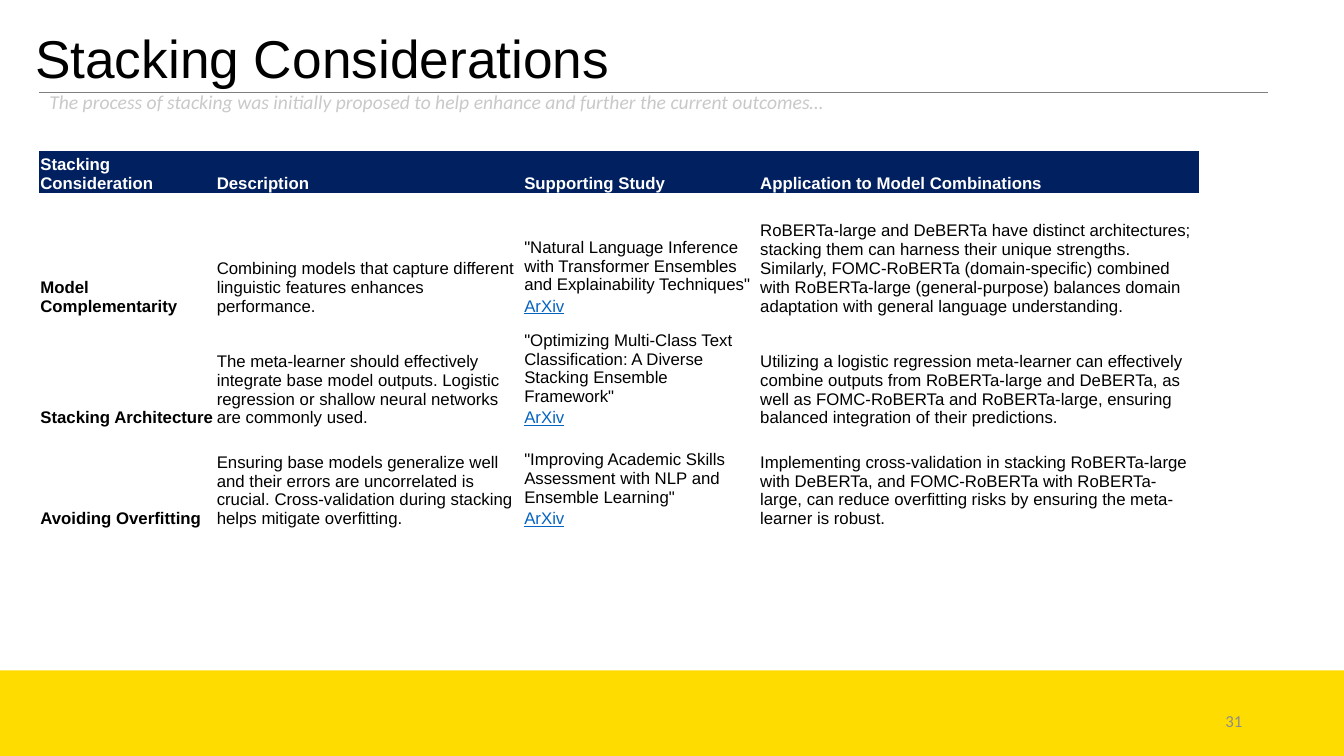
"""Build the Stacking Considerations slide."""
from lxml import etree
from pptx import Presentation
from pptx.dml.color import RGBColor
from pptx.enum.shapes import MSO_CONNECTOR, MSO_SHAPE
from pptx.enum.text import MSO_ANCHOR as ANCHOR, PP_ALIGN as ALIGN
from pptx.oxml.ns import qn
from pptx.util import Inches, Pt

TITLE = "Stacking Considerations"
SUBTITLE = ("The process of stacking was initially proposed to help enhance "
            "and further the current outcomes…")
PAGE = "31"
HEADERS = ["Stacking Consideration", "Description", "Supporting Study",
           "Application to Model Combinations"]
SOURCE = "ArXiv"
CONSIDERATIONS = [
    ("Model Complementarity",
     "Combining models that capture different linguistic features enhances performance.",
     '"Natural Language Inference with Transformer Ensembles and Explainability Techniques"',
     "RoBERTa-large and DeBERTa have distinct architectures; stacking them can harness "
     "their unique strengths. Similarly, FOMC-RoBERTa (domain-specific) combined with "
     "RoBERTa-large (general-purpose) balances domain adaptation with general language "
     "understanding."),
    ("Stacking Architecture",
     "The meta-learner should effectively integrate base model outputs. Logistic "
     "regression or shallow neural networks are commonly used.",
     '"Optimizing Multi-Class Text Classification: A Diverse Stacking Ensemble Framework"',
     "Utilizing a logistic regression meta-learner can effectively combine outputs from "
     "RoBERTa-large and DeBERTa, as well as FOMC-RoBERTa and RoBERTa-large, ensuring "
     "balanced integration of their predictions."),
    ("Avoiding Overfitting",
     "Ensuring base models generalize well and their errors are uncorrelated is crucial. "
     "Cross-validation during stacking helps mitigate overfitting.",
     '"Improving Academic Skills Assessment with NLP and Ensemble Learning"',
     "Implementing cross-validation in stacking RoBERTa-large with DeBERTa, and "
     "FOMC-RoBERTa with RoBERTa-large, can reduce overfitting risks by ensuring the "
     "meta-learner is robust."),
]
COL_WIDTHS = [1.75, 3.05, 2.34, 4.36]
HEADER_HEIGHT, SOURCE_HEIGHT = 0.23, 0.12
STUDY_HEIGHTS = [1.01, 0.9, 0.79]
STUDY_COL = 2
WIDTH, HEIGHT, BAND_HEIGHT = 13.33, 7.5, 0.85
LEFT, RIGHT, RULE_Y, TABLE_TOP = 0.39, 12.58, 0.92, 1.5
PLAIN_TABLE = "{2D5ABB26-0587-4C30-8999-92F81FD0307C}"
COLORS = {"band": "FFDC00", "page": "8C8C8C", "text": "000000", "rule": "7F7F7F",
          "subtitle": "C9C9C9", "header": "002060", "white": "FFFFFF", "link": "0563C1"}


def rgb(name):
    return RGBColor.from_string(COLORS[name])


def write(tf, text, size, color, font="Arial", **styles):
    tf.text = text
    p = tf.paragraphs[0]
    for r in p.runs:
        r.font.name, r.font.size = font, Pt(size)
        r.font.color.rgb = rgb(color)
        for style, value in styles.items():
            setattr(r.font, style, value)
    return p


def add_text(s, box, anchor, *args, **styles):
    tf = s.shapes.add_textbox(*map(Inches, box)).text_frame
    tf.word_wrap = True
    tf.vertical_anchor = anchor
    return write(tf, *args, **styles)


def add_frame(s):
    band = s.shapes.add_shape(MSO_SHAPE.RECTANGLE, 0, Inches(HEIGHT - BAND_HEIGHT),
                              Inches(WIDTH), Inches(BAND_HEIGHT))
    band.shadow.inherit = False
    band.fill.solid()
    band.fill.fore_color.rgb = rgb("band")
    band.line.fill.background()
    p = add_text(s, (9.42, 6.95, 3, 0.4), ANCHOR.MIDDLE, PAGE, 12, "page", "Calibri")
    p.alignment = ALIGN.RIGHT
    p = add_text(s, (0.25, 0.15, 12.72, 0.92), ANCHOR.MIDDLE, TITLE, 38, "text")
    p.line_spacing = 0.9
    rule = s.shapes.add_connector(MSO_CONNECTOR.STRAIGHT, Inches(LEFT), Inches(RULE_Y),
                                  Inches(RIGHT), Inches(RULE_Y))
    rule.line.color.rgb = rgb("rule")
    rule.line.width = Pt(0.75)
    etree.SubElement(rule._element.spPr, qn("a:effectLst"))
    add_text(s, (LEFT, 0.84, RIGHT - LEFT, 0.34), ANCHOR.TOP, SUBTITLE, 14, "subtitle",
             "Calibri", italic=True)


def add_considerations(s):
    heights = [HEADER_HEIGHT]
    for height in STUDY_HEIGHTS:
        heights += [height, SOURCE_HEIGHT]
    frame = s.shapes.add_table(len(heights), len(COL_WIDTHS), Inches(LEFT), Inches(TABLE_TOP),
                               Inches(sum(COL_WIDTHS)), Inches(sum(heights)))
    table = frame.table
    table.first_row = table.horz_banding = False
    table._tbl.tblPr.find(qn("a:tableStyleId")).text = PLAIN_TABLE
    for column, width in zip(table.columns, COL_WIDTHS):
        column.width = Inches(width)
    for row, height in zip(table.rows, heights):
        row.height = Inches(height)
    for cell in table.iter_cells():
        cell.margin_left = cell.margin_right = cell.margin_top = Inches(0.01)
        cell.margin_bottom = 0
        cell.vertical_anchor = ANCHOR.BOTTOM
        cell.fill.background()

    for col, header in enumerate(HEADERS):
        cell = table.cell(0, col)
        cell.fill.solid()
        cell.fill.fore_color.rgb = rgb("header")
        write(cell.text_frame, header, 12, "white", bold=True)
    for i, texts in enumerate(CONSIDERATIONS):
        row = 1 + 2 * i
        for col, text in enumerate(texts):
            cell, below = table.cell(row, col), table.cell(row + 1, col)
            write(cell.text_frame, text, 12, "text", bold=col == 0)
            if col == STUDY_COL:
                write(below.text_frame, SOURCE, 12, "link", underline=True)
            else:
                cell.merge(below)
                p = below.text_frame.paragraphs[0]
                etree.SubElement(p._p, qn("a:endParaRPr"), sz="1200")


def main():
    prs = Presentation()
    prs.slide_width, prs.slide_height = Inches(WIDTH), Inches(HEIGHT)
    s = prs.slides.add_slide(prs.slide_layouts[6])
    add_frame(s)
    add_considerations(s)
    prs.save("out.pptx")


if __name__ == "__main__":
    main()
